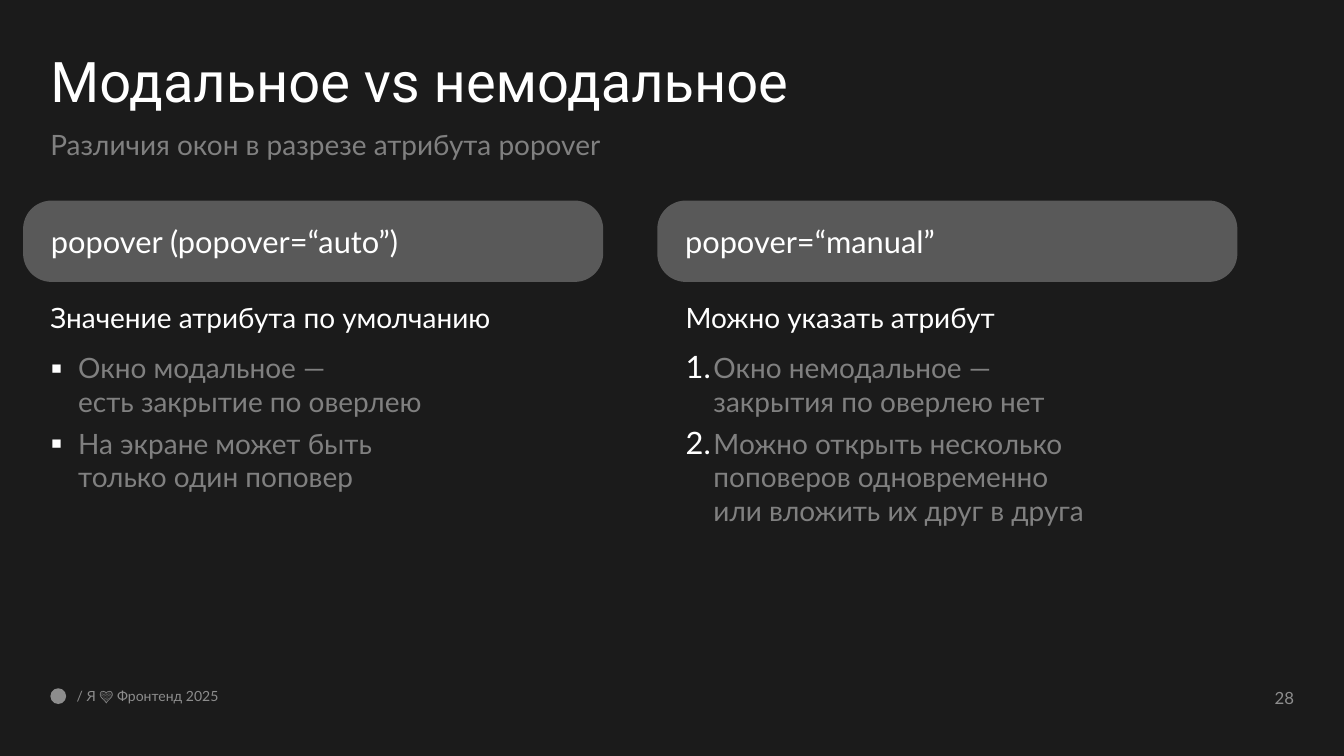
from lxml import etree
from pptx import Presentation
from pptx.dml.color import RGBColor
from pptx.enum.shapes import MSO_SHAPE as Shape
from pptx.enum.text import MSO_ANCHOR as Anchor, MSO_AUTO_SIZE as AutoSize, PP_ALIGN as Align
from pptx.oxml.ns import qn
from pptx.util import Pt

PX = 9525  # EMU per px
BACKGROUND = RGBColor(0x1B, 0x1B, 0x1B)
WHITE = RGBColor(0xFF, 0xFF, 0xFF)
GREY = RGBColor(0x80, 0x80, 0x80)
FOOTER_GREY = RGBColor(0x8D, 0x8D, 0x8D)
PILL_GREY = RGBColor(0x59, 0x59, 0x59)


def prepare(box, place, anchor=Anchor.TOP, insets=(0, 0, 0, 0)):
    """Place a box and return its text frame with the given insets."""
    box.left, box.top, box.width, box.height = (value * PX for value in place)
    frame = box.text_frame
    frame.word_wrap = True
    frame.auto_size = AutoSize.NONE
    frame.vertical_anchor = anchor
    (frame.margin_left, frame.margin_top,
     frame.margin_right, frame.margin_bottom) = (value * PX for value in insets)
    return frame


def write(para, text, size, color, font="Lato", after=0, align=Align.LEFT, marker=None):
    """Fill a paragraph; marker is None, a bullet sign or "1." for numbering."""
    para.text = text
    props = para._p.get_or_add_pPr()
    indent = 53 * PX if marker else 0
    props.set("marL", str(indent))
    props.set("indent", str(-indent))
    if marker:
        bullet_color = etree.SubElement(props, qn("a:buClr"))
        etree.SubElement(bullet_color, qn("a:srgbClr"), val=str(WHITE))
        etree.SubElement(props, qn("a:buSzPct"), val="110000")
        etree.SubElement(props, qn("a:buFont"), typeface="Lato")
    if marker == "1.":
        etree.SubElement(props, qn("a:buAutoNum"), type="arabicPeriod")
    elif marker:
        etree.SubElement(props, qn("a:buChar"), char=marker)
    else:
        etree.SubElement(props, qn("a:buNone"))
    para.alignment = align
    para.line_spacing = 1.0
    para.space_before = Pt(0)
    para.space_after = Pt(after)
    para.font.name = font
    para.font.size = Pt(size)
    para.font.bold = False
    para.font.color.rgb = color


deck = Presentation()
deck.slide_width, deck.slide_height = 2560 * PX, 1440 * PX
page = deck.slides.add_slide(deck.slide_layouts[4])
page.background.fill.solid()
page.background.fill.fore_color.rgb = BACKGROUND
title, subtitle, left_list, spare, right_list = page.placeholders
spare.element.getparent().remove(spare.element)

# Title and subtitle
frame = prepare(title, (96, 96, 2367, 142), insets=(0, 8, 0, 0))
write(frame.paragraphs[0], "Модальное vs немодальное", 80, WHITE, font="Roboto")
frame.paragraphs[0].line_spacing = 0.9
frame = prepare(subtitle, (96, 242, 1965, 95))
write(frame.paragraphs[0], "Различия окон в разрезе атрибута popover", 40, GREY)

# Two columns: heading pill above a list
columns = [
    (left_list, 96, 44, "popover (popover=“auto”)", "Значение атрибута по умолчанию", "▪",
     ["Окно модальное —\nесть закрытие по оверлею",
      "На экране может быть\nтолько один поповер"]),
    (right_list, 1306, 1252, "popover=“manual”", "Можно указать атрибут", "1.",
     ["Окно немодальное —\nзакрытия по оверлею нет",
      "Можно открыть несколько\nпоповеров одновременно\nили вложить их друг в друга"]),
]
for box, list_left, pill_left, label, heading, marker, items in columns:
    frame = prepare(box, (list_left, 572, 1006, 667))
    write(frame.paragraphs[0], heading, 40, WHITE, after=24)
    for item in items:
        para = frame.add_paragraph()
        para.level = 1
        write(para, item, 40, GREY, after=12, marker=marker)

    pill = page.shapes.add_shape(Shape.ROUNDED_RECTANGLE, 0, 0, PX, PX)
    pill.adjustments[0] = 0.35
    pill.shadow.inherit = False
    pill.fill.solid()
    pill.fill.fore_color.rgb = PILL_GREY
    pill.line.fill.background()
    frame = prepare(pill, (pill_left, 382, 1105, 155), Anchor.MIDDLE, (37, 0, 37, 0))
    write(frame.paragraphs[0], label, 44, WHITE)

# Footer: plain dot, event name and page number
dot = page.shapes.add_shape(Shape.OVAL, 96 * PX, 1311 * PX, 30 * PX, 30 * PX)
dot.shadow.inherit = False
dot.fill.solid()
dot.fill.fore_color.rgb = FOOTER_GREY
dot.line.fill.background()

footers = [
    ("/ Я 💛 Фронтенд 2025", (146, 1310, 1561, 33), 20, Align.LEFT),
    ("28", (2311, 1310, 154, 38), 24, Align.RIGHT),
]
for text, place, size, align in footers:
    frame = prepare(page.shapes.add_textbox(0, 0, PX, PX), place)
    write(frame.paragraphs[0], text, size, FOOTER_GREY, align=align)

deck.save("out.pptx")
